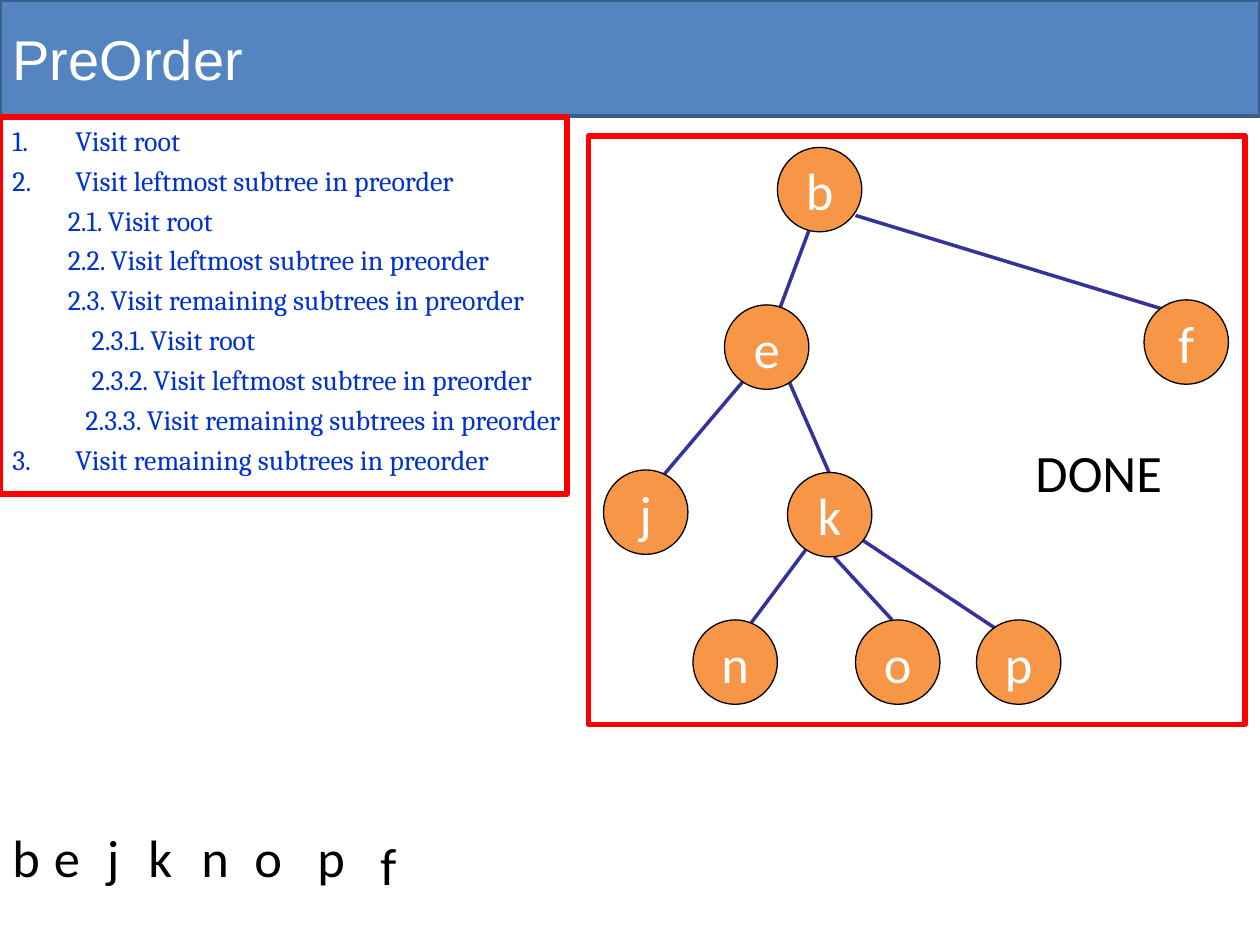
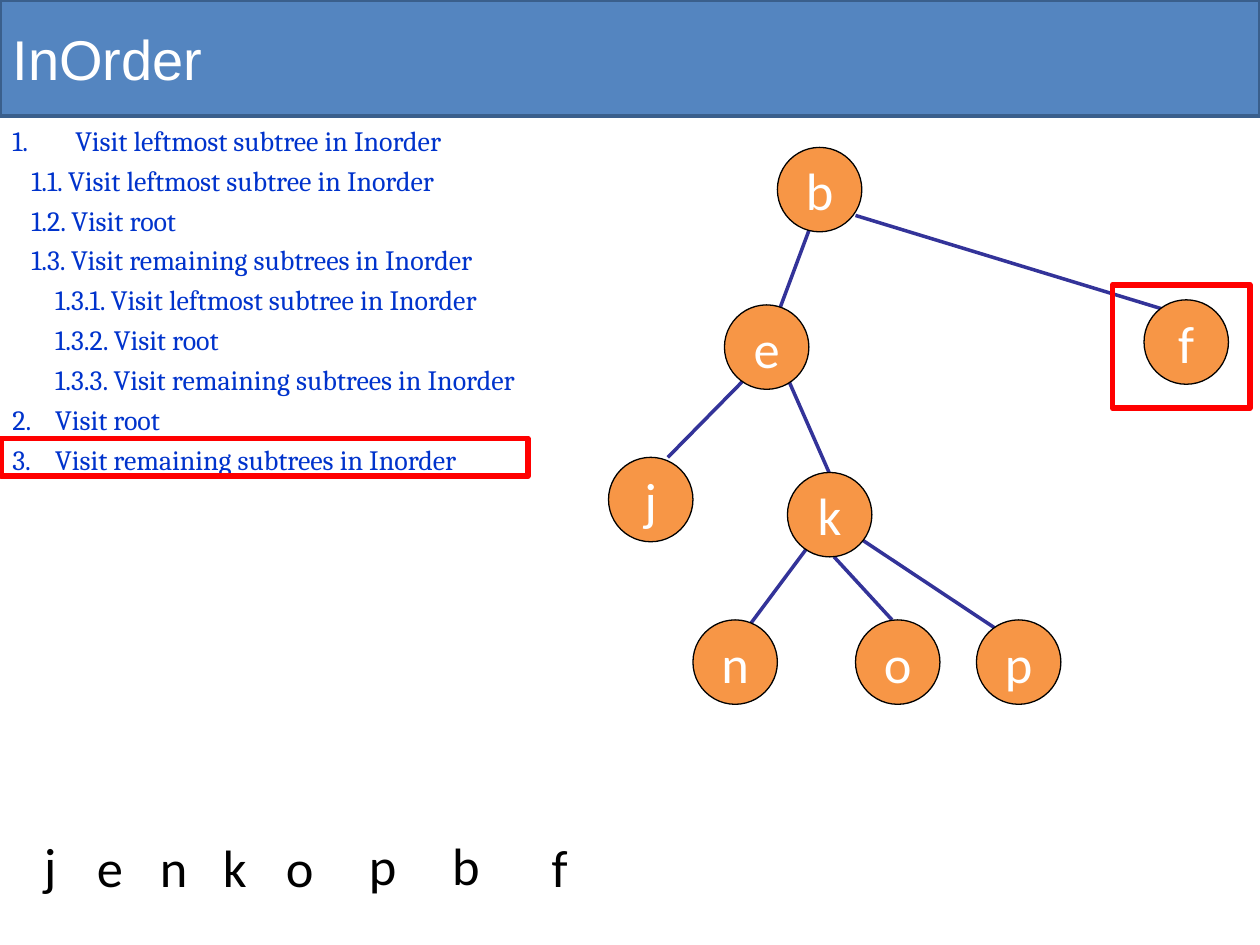
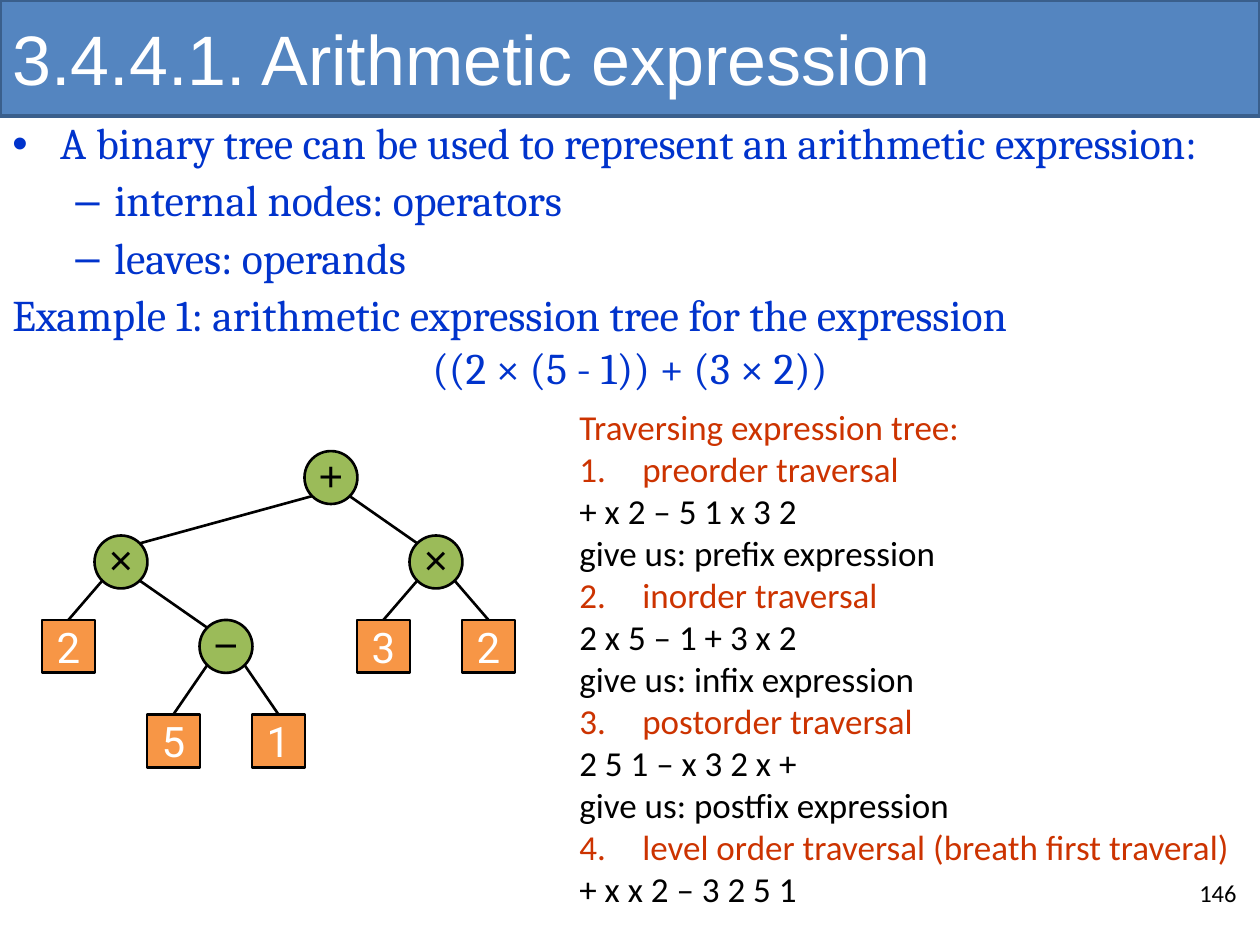
from dataclasses import dataclass
from typing import NamedTuple

from lxml.etree import SubElement
from pptx import Presentation
from pptx.dml.color import RGBColor
from pptx.enum.shapes import MSO_CONNECTOR as Link, MSO_SHAPE as Shape
from pptx.enum.text import MSO_ANCHOR as Anchor, PP_ALIGN as Align
from pptx.oxml.ns import qn
from pptx.util import Inches, Pt

COLORS = {
    "band": "5485C0", "band_line": "3A5F8C", "white": "FFFFFF", "black": "000000",
    "body": "0033CC", "heading": "CC3300", "edge": "333399", "mark": "FF0000",
    "orange": "F79646", "green": "9BBB59",
}


class Area(NamedTuple):
    left: float
    top: float
    width: float
    height: float

    def inches(self):
        return [Inches(value) for value in self]


class Letter(NamedTuple):
    text: str
    left: float
    top: float


class Edge(NamedTuple):
    x1: float
    y1: float
    x2: float
    y2: float


@dataclass(frozen=True)
class Type:
    font: str
    size: float
    color: str


@dataclass(frozen=True)
class NodeStyle:
    shape: Shape
    side: float
    fill: str
    line: float
    type: Type
    insets: tuple = (0.1, 0.05, 0.1, 0.05)


@dataclass(frozen=True)
class Line:
    text: str
    indent: float = 0
    hang: float = 0
    number: int = 0
    bullet: str = ""
    color: str = ""
    before: float = 0
    spacing: float = 1
    align: Align = Align.LEFT


@dataclass(frozen=True)
class ExpressionNode:
    text: str
    column: int
    row: int
    parent: int = -1


BAND = Area(0, 0, 10, 0.92)
STEPS = Area(0, 0.93, 10, 2.99)
STEP_TYPE = Type("Cambria", 16, "body")
INTRO_TYPE = Type("Cambria", 25, "body")
LETTER_TYPE = Type("Calibri", 30, "black")
TRAVERSAL_TYPE = Type("Calibri", 20, "black")
LETTER_NODE = NodeStyle(Shape.OVAL, 0.67, "orange", 0.75, Type("Calibri", 30, "white"))
OPERATOR = NodeStyle(Shape.OVAL, 0.42, "green", 1.5, Type("Arial", 24, "black"), (0, 0, 0, 0.05))
OPERAND = NodeStyle(Shape.RECTANGLE, 0.42, "orange", 1.5, Type("Roboto", 24, "white"))

TREE_NODES = [
    Letter("b", 6.17, 1.17), Letter("e", 5.75, 2.42), Letter("f", 9.08, 2.38),
    Letter("o", 6.79, 4.92), Letter("k", 6.25, 3.75), Letter("n", 5.5, 4.92),
    Letter("p", 7.75, 4.92),
]
TREE_EDGES = [
    Edge(6.42, 1.83, 6.17, 2.5), Edge(6.79, 1.71, 9.25, 2.46), Edge(6.25, 3, 6.58, 3.75),
    Edge(6.42, 4.33, 5.92, 5), Edge(6.62, 4.42, 7.08, 4.92), Edge(6.85, 4.29, 7.92, 5),
]
EXPRESSION_ROWS = [3.58, 4.25, 4.92, 5.67]
EXPRESSION = [
    ExpressionNode("+", 5, 0), ExpressionNode("×", 1, 1, 0), ExpressionNode("×", 7, 1, 0),
    ExpressionNode("2", 0, 2, 1), ExpressionNode("−", 3, 2, 1), ExpressionNode("3", 6, 2, 2),
    ExpressionNode("2", 8, 2, 2), ExpressionNode("5", 2, 3, 4), ExpressionNode("1", 4, 3, 4),
]


def rgb(name: str) -> RGBColor:
    return RGBColor.from_string(COLORS[name])


def add_span(para, text: str, kind: Type, color: str = "") -> None:
    span = para.add_run()
    span.text = text
    span.font.name = kind.font
    span.font.size = Pt(kind.size)
    span.font.color.rgb = rgb(color or kind.color)


def outline(shape, color: str, width: float) -> None:
    shape.line.color.rgb = rgb(color)
    shape.line.width = Pt(width)


def add_page(deck, title: str, size: float):
    page = deck.slides.add_slide(deck.slide_layouts[5])
    box = page.shapes.title
    box.left, box.top, box.width, box.height = BAND.inches()
    box.fill.solid()
    box.fill.fore_color.rgb = rgb("band")
    outline(box, "band_line", 2)
    box.text_frame.vertical_anchor = Anchor.MIDDLE
    para = box.text_frame.paragraphs[0]
    para.alignment = Align.LEFT
    add_span(para, title, Type("Arial", size, "white"))
    return page


def format_list(para, line: Line) -> None:
    properties = para._p.get_or_add_pPr()
    properties.set("marL", str(Inches(line.indent)))
    properties.set("indent", str(-Inches(line.hang)))
    if line.number:
        SubElement(properties, qn("a:buFont"), typeface="+mj-lt")
        SubElement(properties, qn("a:buAutoNum"), type="arabicPeriod", startAt=str(line.number))
    elif line.bullet:
        SubElement(properties, qn("a:buFont"), typeface="Arial")
        SubElement(properties, qn("a:buChar"), char=line.bullet)


def add_text(page, area: Area, kind: Type, lines: list[Line]) -> None:
    frame = page.shapes.add_textbox(*area.inches()).text_frame
    frame.word_wrap = True
    for index, line in enumerate(lines):
        para = frame.add_paragraph() if index else frame.paragraphs[0]
        format_list(para, line)
        para.alignment = line.align
        para.line_spacing = line.spacing
        para.space_before = Pt(line.before if index else 0)
        add_span(para, line.text, kind, line.color)


def add_letters(page, letters: list[Letter]) -> None:
    for letter in letters:
        add_text(page, Area(letter.left, letter.top, 0.75, 0.61), LETTER_TYPE, [Line(letter.text)])


def add_node(page, text: str, left: float, top: float, style: NodeStyle):
    node = page.shapes.add_shape(style.shape, *Area(left, top, style.side, style.side).inches())
    node.shadow.inherit = False
    node.fill.solid()
    node.fill.fore_color.rgb = rgb(style.fill)
    outline(node, "black", style.line)
    frame = node.text_frame
    frame.word_wrap = False
    frame.vertical_anchor = Anchor.MIDDLE
    (frame.margin_left, frame.margin_top,
     frame.margin_right, frame.margin_bottom) = map(Inches, style.insets)
    para = frame.paragraphs[0]
    para.alignment = Align.CENTER
    add_span(para, text, style.type)
    return node


def add_edge(page, edge: Edge, color: str, width: float):
    link = page.shapes.add_connector(Link.STRAIGHT, *[Inches(value) for value in edge])
    outline(link, color, width)
    SubElement(link._element.spPr, qn("a:effectLst"))
    return link


def add_mark(page, area: Area) -> None:
    mark = page.shapes.add_shape(Shape.RECTANGLE, *area.inches())
    mark.shadow.inherit = False
    mark.fill.background()
    outline(mark, "mark", 3.25)


def add_letter_tree(page, j_node: Letter, j_edge: Edge) -> None:
    for edge in [*TREE_EDGES, j_edge]:
        add_edge(page, edge, "edge", 2)
    for node in [*TREE_NODES, j_node]:
        add_node(page, node.text, node.left, node.top, LETTER_NODE)


def add_expression_tree(page) -> None:
    step = 5 / 12
    half = OPERATOR.side / 2
    diagonal = half * 0.7
    centers, shapes = [], []
    for node in EXPRESSION:
        style = OPERAND if node.text.isdigit() else OPERATOR
        left, top = 1 / 3 + node.column * step, EXPRESSION_ROWS[node.row]
        shapes.append(add_node(page, node.text, left, top, style))
        centers.append((left + half, top + half))
    for node, shape, (x, y) in zip(EXPRESSION, shapes, centers):
        if node.parent < 0:
            continue
        parent_x, parent_y = centers[node.parent]
        reach = diagonal if x > parent_x else -diagonal
        edge = Edge(parent_x + reach, parent_y + diagonal, x - reach, y - diagonal)
        link = add_edge(page, edge, "black", 1.5)
        if node.text.isdigit():
            link.end_connect(shape, 0)


def step(text: str, indent: float = 0, hang: float = 0, number: int = 0) -> Line:
    return Line(text, indent, hang, number, before=3.6)


def build_preorder(deck) -> None:
    page = add_page(deck, "PreOrder", 32)
    add_text(page, STEPS, STEP_TYPE, [
        step("Visit root", 0.5, 0.5, 1),
        step("Visit leftmost subtree in preorder", 0.5, 0.5, 2),
        step("2.1. Visit root", 0.44),
        step("2.2. Visit leftmost subtree in preorder", 0.44),
        step("2.3. Visit remaining subtrees in preorder", 0.44),
        step("2.3.1. Visit root", 0.63),
        step("2.3.2. Visit leftmost subtree in preorder", 0.63),
        step("2.3.3. Visit remaining subtrees in preorder", 0.58),
        step("Visit remaining subtrees in preorder", 0.5, 0.5, 3),
    ])
    add_letter_tree(page, Letter("j", 4.79, 3.73), Edge(5.92, 3, 5.25, 3.79))
    add_mark(page, Area(4.67, 1.08, 5.21, 4.67))
    add_mark(page, Area(0, 0.93, 4.5, 2.99))
    lefts = [0, 0.33, 0.75, 1.08, 1.5, 1.92, 2.42]
    add_letters(page, [Letter(text, left, 6.5) for text, left in zip("bejknop", lefts)])
    add_letters(page, [Letter("f", 2.92, 6.56)])
    add_text(page, Area(8.12, 3.44, 1.34, 0.61), LETTER_TYPE, [Line("DONE")])


def build_inorder(deck) -> None:
    page = add_page(deck, "InOrder", 32)
    add_text(page, STEPS, STEP_TYPE, [
        step("Visit leftmost subtree in Inorder", 0.5, 0.5, 1),
        step("1.1. Visit leftmost subtree in Inorder", 0.15),
        step("1.2. Visit root", 0.15),
        step("1.3. Visit remaining subtrees in Inorder", 0.15),
        step("1.3.1. Visit leftmost subtree in Inorder", 0.34),
        step("1.3.2. Visit root", 0.34),
        step("1.3.3. Visit remaining subtrees in Inorder", 0.34),
        step("Visit root", 0.34, 0.34, 2),
        step("Visit remaining subtrees in Inorder", 0.34, 0.34, 3),
    ])
    add_letter_tree(page, Letter("j", 4.83, 3.63), Edge(5.92, 3, 5.3, 3.63))
    add_mark(page, Area(8.83, 2.26, 1.09, 0.98))
    add_mark(page, Area(0.01, 3.48, 4.18, 0.3))
    add_letters(page, [
        Letter("j", 0.25, 6.56), Letter("e", 0.67, 6.58), Letter("n", 1.17, 6.58),
        Letter("k", 1.67, 6.58), Letter("o", 2.17, 6.58), Letter("p", 2.83, 6.56),
        Letter("b", 3.49, 6.56), Letter("f", 4.28, 6.58),
    ])


def build_arithmetic(deck) -> None:
    page = add_page(deck, "3.4.4.1. Arithmetic expression", 40)
    tight = {"before": 5.6, "spacing": 0.9}
    add_text(page, Area(0, 0.92, 10, 2.25), INTRO_TYPE, [
        Line("A binary tree can be used to represent an arithmetic expression:",
             0.38, 0.38, bullet="•", **tight),
        Line("internal nodes: operators", 0.81, 0.31, bullet="–", **tight),
        Line("leaves: operands", 0.81, 0.31, bullet="–", **tight),
        Line("Example 1: arithmetic expression tree for the expression", **tight),
        Line("((2 × (5 - 1)) + (3 × 2))", align=Align.CENTER),
    ])
    add_text(page, Area(9.42, 6.92, 0.5, 0.4), Type("Calibri", 14, "black"), [Line("146")])
    add_expression_tree(page)
    traversals = [
        ("preorder traversal", "+ x 2 – 5 1 x 3 2", "give us: prefix expression"),
        ("inorder traversal", "2 x 5 – 1 + 3 x 2", "give us: infix expression"),
        ("postorder traversal", "2 5 1 – x 3 2 x +", "give us: postfix expression"),
        ("level order traversal (breath first traveral)", "+ x x 2 – 3 2 5 1"),
    ]
    lines = [Line("Traversing expression tree:", color="heading")]
    for number, (name, *results) in enumerate(traversals, 1):
        lines.append(Line(name, 0.5, 0.5, number, color="heading"))
        lines.extend(Line(result) for result in results)
    add_text(page, Area(4.5, 3.17, 5.44, 4.14), TRAVERSAL_TYPE, lines)


def main() -> None:
    """Build the three tree traversal slides and save the deck."""
    deck = Presentation()
    deck.slide_width, deck.slide_height = Inches(10), Inches(7.5)
    build_preorder(deck)
    build_inorder(deck)
    build_arithmetic(deck)
    deck.save("out.pptx")


if __name__ == "__main__":
    main()
